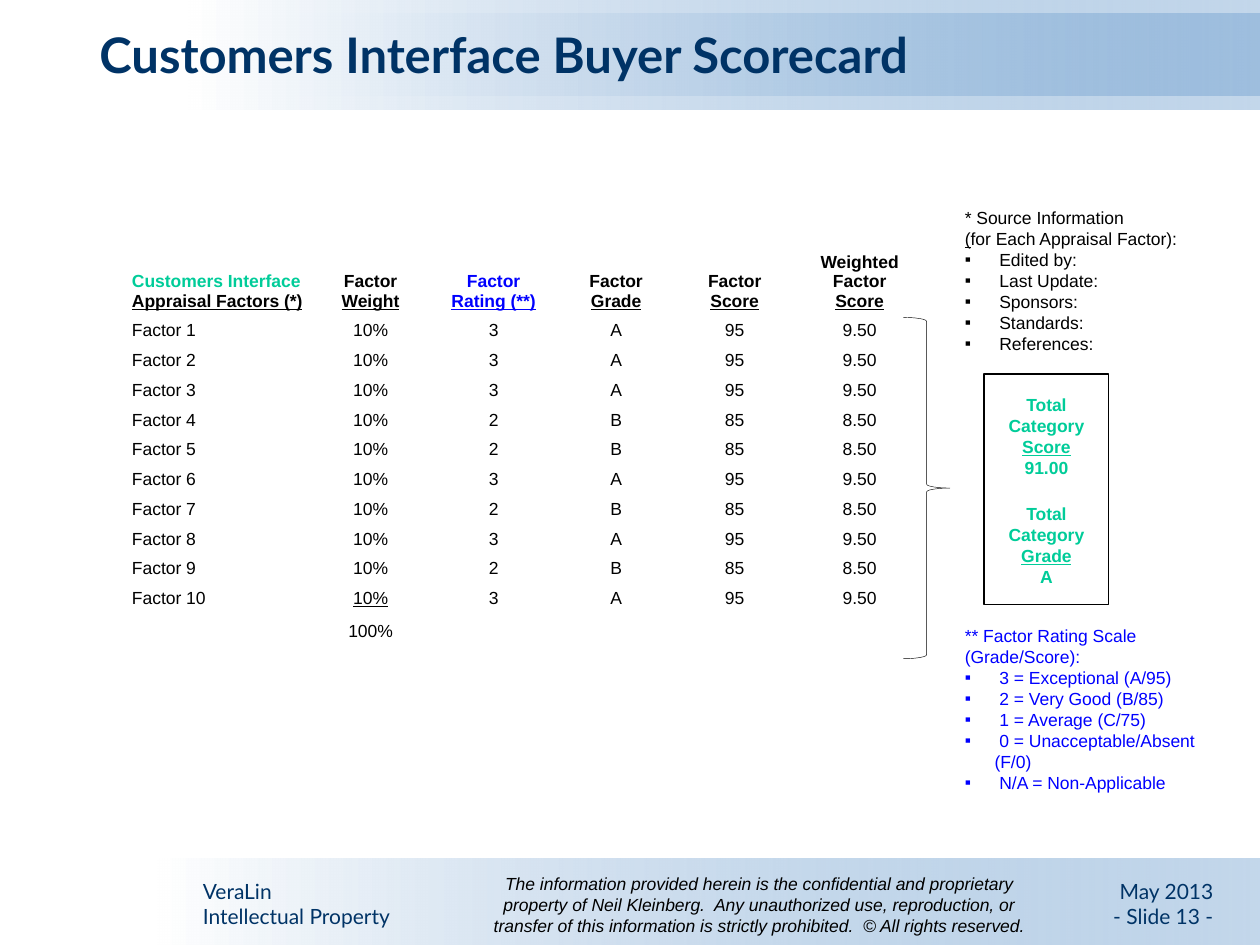
from lxml.etree import SubElement
from pptx import Presentation
from pptx.dml.color import RGBColor
from pptx.enum.shapes import MSO_SHAPE as Shape
from pptx.enum.text import MSO_ANCHOR as Anchor, PP_ALIGN as Align
from pptx.oxml.ns import qn
from pptx.util import Cm, Pt

NAVY, BLACK, BLUE, GREEN, STEEL = "003366", "000000", "0000FF", "00CC99", "6699CC"


def rgb(value):
    return RGBColor.from_string(value)


class ScorecardSlide:
    body_font = "Arial"
    brand_font = "Lato"
    body_size = 10

    def __init__(self, prs):
        self.s = prs.slides.add_slide(prs.slide_layouts[5])

    def run(self, p, text, color=BLACK, font=None, size=None, **style):
        r = p.add_run()
        r.text = text
        r.font.name = font or self.body_font
        r.font.size = Pt(size or self.body_size)
        r.font.color.rgb = rgb(color)
        for name, value in style.items():
            setattr(r.font, name, value)

    def lines(self, tf, lines, align=Align.LEFT, underlined=(), **style):
        for i, line in enumerate(lines):
            p = tf.paragraphs[0] if i == 0 else tf.add_paragraph()
            p.alignment = align
            self.run(p, line, underline=i in underlined, **style)

    def bullets(self, tf, items, color):
        for item in items:
            p = tf.add_paragraph()
            pPr = p._p.get_or_add_pPr()
            pPr.set("marL", str(Cm(0.6)))
            pPr.set("indent", str(-Cm(0.6)))
            SubElement(pPr, qn("a:buFont"), typeface="Arial")
            SubElement(pPr, qn("a:buChar"), char="▪")
            self.run(p, " " + item, color)

    def title(self, text, x, y, w, h):
        sp = self.s.shapes.title
        sp.left, sp.top, sp.width, sp.height = Cm(x), Cm(y), Cm(w), Cm(h)
        self.s.shapes._spTree.append(sp._element)
        tf = sp.text_frame
        tf.vertical_anchor = Anchor.MIDDLE
        self.lines(tf, [text], color=NAVY, font=self.brand_font, size=28, bold=True)

    def text(self, x, y, w, h, lines, **style):
        tf = self.s.shapes.add_textbox(Cm(x), Cm(y), Cm(w), Cm(h)).text_frame
        tf.word_wrap = True
        self.lines(tf, lines, **style)
        return tf

    def shape(self, kind, x, y, w, h, weight=None):
        sp = self.s.shapes.add_shape(kind, Cm(x), Cm(y), Cm(w), Cm(h))
        sp.shadow.inherit = False
        sp.fill.background()
        if weight:
            sp.line.color.rgb = rgb(BLACK)
            sp.line.width = Pt(weight)
        else:
            sp.line.fill.background()
        return sp

    def band(self, x, y, w, h):
        fill = self.shape(Shape.RECTANGLE, x, y, w, h).fill
        fill.gradient()
        fill.gradient_angle = 0
        start, end = fill.gradient_stops
        start.color.rgb, end.color.rgb = rgb("FFFFFF"), rgb(STEEL)
        start.position, end.position = 0, 1
        color = end._gs.find(qn("a:srgbClr"))
        SubElement(color, qn("a:alpha"), val="39000")

    def cell(self, cell, lines, align, **style):
        cell.fill.background()
        cell.margin_left = Cm(0.25) if align == Align.LEFT else 0
        cell.margin_right = cell.margin_top = cell.margin_bottom = 0
        cell.vertical_anchor = Anchor.MIDDLE
        self.lines(cell.text_frame, lines, align, **style)

    def table(self, x, y, widths, header_height, row_height, headers, rows):
        height = header_height + row_height * len(rows)
        table = self.s.shapes.add_table(len(rows) + 1, len(widths), Cm(x), Cm(y),
                                        Cm(sum(widths)), Cm(height)).table
        table.first_row = table.horz_banding = False
        for column, width in zip(table.columns, widths):
            column.width = Cm(width)
        for i, row in enumerate(table.rows):
            row.height = Cm(row_height if i else header_height)
        for c, (lines, color) in enumerate(headers):
            align = Align.CENTER if c else Align.LEFT
            head = table.cell(0, c)
            self.cell(head, lines, align, color=color, bold=True,
                      underlined=[len(lines) - 1])
            head.vertical_anchor = Anchor.BOTTOM
            head.margin_bottom = Cm(0.1)
            for r, values in enumerate(rows, 1):
                last_weight = c == 1 and r == len(rows) - 1
                self.cell(table.cell(r, c), [values[c]], align,
                          underlined=[0] if last_weight else [])
        table.cell(0, 0).text_frame.paragraphs[1].runs[0].font.color.rgb = rgb(BLACK)


def main():
    prs = Presentation()
    prs.slide_width, prs.slide_height = Cm(25.4), Cm(19.05)
    card = ScorecardSlide(prs)

    card.band(3.18, 17.3, 22.22, 1.75)
    card.band(3.81, 0, 21.59, 2.21)
    card.band(3.81, 0.28, 21.59, 1.65)
    footer = dict(color=NAVY, font=card.brand_font, size=12)
    card.text(17.93, 17.58, 6.78, 1.27, ["May 2013", "- Slide 13 -"],
              align=Align.RIGHT, **footer)
    card.text(3.84, 17.58, 4.8, 1.27, ["VeraLin", "Intellectual Property"], **footer)
    card.title("Customers Interface Buyer Scorecard", 1.75, 0.36, 22.78, 1.47)

    headers = [(["Customers Interface", "Appraisal Factors (*)"], GREEN),
               (["Factor", "Weight"], BLACK),
               (["Factor", "Rating (**)"], BLUE),
               (["Factor", "Grade"], BLACK),
               (["Factor", "Score"], BLACK),
               (["Weighted", "Factor", "Score"], BLACK)]
    scale = {3: ("A", 95), 2: ("B", 85)}
    rows = []
    for n, rating in enumerate([3, 3, 3, 2, 2, 3, 2, 3, 2, 3], 1):
        grade, score = scale[rating]
        rows.append([f"Factor {n}", "10%", str(rating), grade, str(score),
                     f"{score * 0.1:.2f}"])
    rows.append(["", "100%", "", "", "", ""])
    card.table(2.41, 4.88, [3.79, 2.54, 2.42, 2.52, 2.26, 2.78], 1.49, 0.6,
               headers, rows)

    card.shape(Shape.RIGHT_BRACE, 18.21, 6.4, 0.94, 6.88, 0.25)
    card.shape(Shape.RECTANGLE, 19.84, 7.54, 2.51, 4.65, 0.75)
    for y, label, value in [(7.82, "Score", "91.00"), (10.01, "Grade", "A")]:
        card.text(19.84, y, 2.51, 1.83, ["Total", "Category", label, value],
                  align=Align.CENTER, underlined=[2], color=GREEN, bold=True)

    source = card.text(19.2, 4.04, 5.2, 3.12, ["* Source Information"])
    p = source.add_paragraph()
    card.run(p, "(", underline=True)
    card.run(p, "for Each Appraisal Factor):")
    card.bullets(source, ["Edited by:", "Last Update:", "Sponsors:",
                          "Standards:", "References:"], BLACK)
    rating_scale = card.text(19.2, 12.47, 5.74, 3.1,
                             ["** Factor Rating Scale", "(Grade/Score):"], color=BLUE)
    card.bullets(rating_scale, ["3 = Exceptional (A/95)", "2 = Very Good (B/85)",
                                "1 = Average (C/75)", "0 = Unacceptable/Absent (F/0)",
                                "N/A = Non-Applicable"], BLUE)

    card.text(9.45, 17.48, 11.7, 1.55,
              ["The information provided herein is the confidential and proprietary",
               "property of Neil Kleinberg.  Any unauthorized use, reproduction, or",
               "transfer of this information is strictly prohibited.  © All rights reserved."],
              align=Align.CENTER, italic=True)
    prs.save("out.pptx")


if __name__ == "__main__":
    main()
